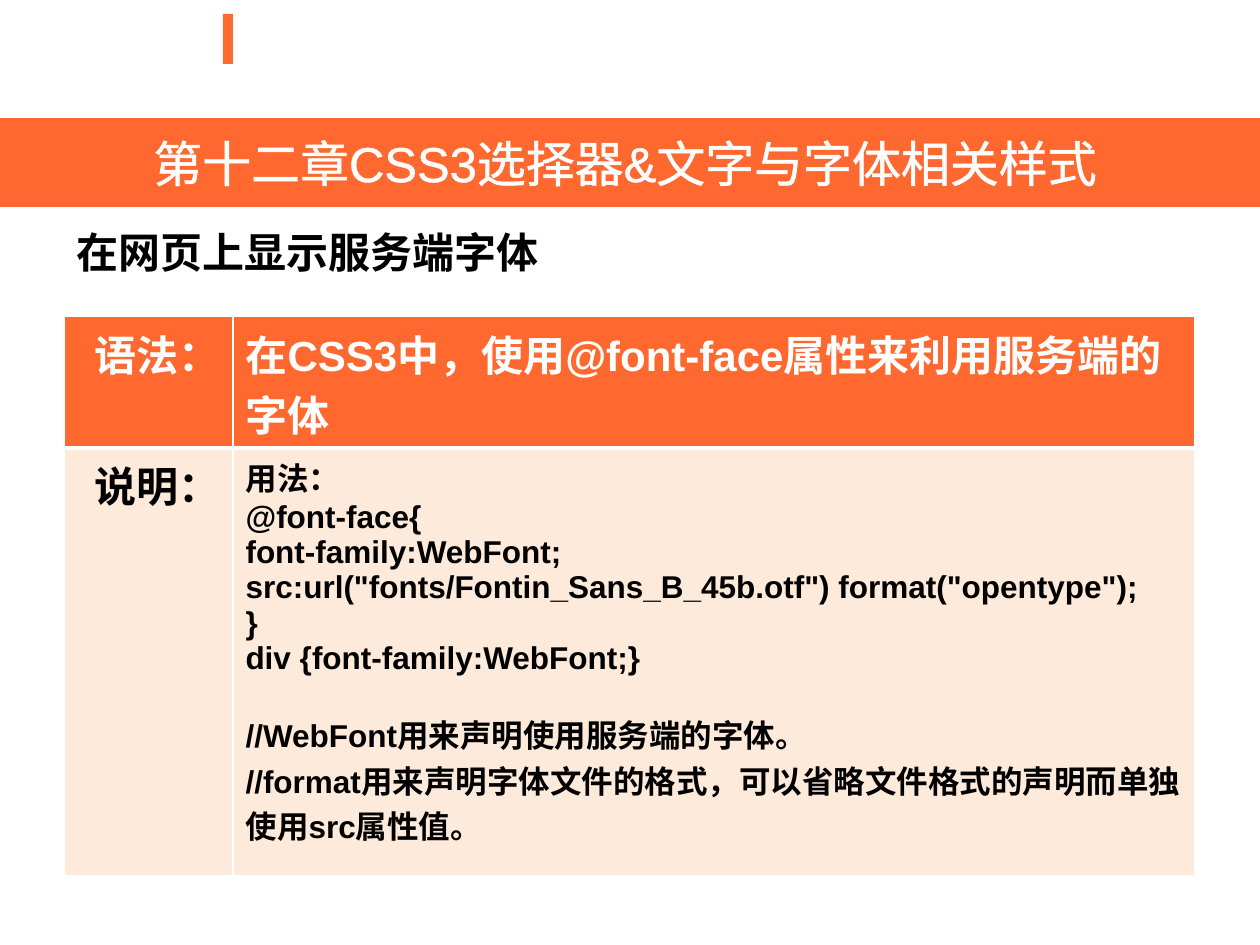
from dataclasses import dataclass

from lxml import etree
from pptx import Presentation, util as u
from pptx.dml.color import RGBColor
from pptx.enum import shapes, text
from pptx.oxml.ns import qn


@dataclass(frozen=True)
class Theme:
    accent: str = "FF682F"
    tint: str = "FDEADA"
    light: str = "FFFFFF"
    dark: str = "000000"
    font: str = "Arial"
    title: int = 28
    heading: int = 24
    body: int = 18


T = Theme()
PX = 914400 / 126

TITLE = "第十二章CSS3选择器&文字与字体相关样式"
HEADING = "在网页上显示服务端字体"
USAGE = [
    "用法：",
    "@font-face{",
    "font-family:WebFont;",
    'src:url("fonts/Fontin_Sans_B_45b.otf") format("opentype");',
    "}",
    "div {font-family:WebFont;}",
]
NOTES = [
    "//WebFont用来声明使用服务端的字体。",
    "//format用来声明字体文件的格式，可以省略文件格式的声明而单独使用src属性值。",
]
ROWS = [
    ("语法：", ["在CSS3中，使用@font-face属性来利用服务端的字体"]),
    ("说明：", USAGE + NOTES),
]
ROW_STYLES = [  # fill, text colour, size of the right cell, bottom border
    (T.accent, T.light, T.heading, 3),
    (T.tint, T.dark, T.body, 1),
]
COL_WIDTHS = [169, 962]
ROW_HEIGHTS = [132, 428]


def px(*values):
    return [u.Emu(round(v * PX)) for v in values]


def paint(shape, color):
    shape.fill.solid()
    shape.fill.fore_color.rgb = RGBColor.from_string(color)


def write(tf, lines, size, color, bold=True, align=text.PP_ALIGN.LEFT):
    tf.word_wrap = True
    tf.text = "\n".join(lines)
    for p in tf.paragraphs:
        p.alignment = align
        for r in p.runs:
            r.font.name, r.font.size, r.font.bold = T.font, u.Pt(size), bold
            r.font.color.rgb = RGBColor.from_string(color)


def white_line(parent, tag, width):
    ln = etree.SubElement(parent, qn(tag), w=str(u.Pt(width)))
    fill = etree.SubElement(ln, qn("a:solidFill"))
    etree.SubElement(fill, qn("a:srgbClr"), val=T.light)
    return ln


def set_borders(cell, bottom):
    """Draw the four borders; they must precede the cell's fill."""
    tc_pr = cell._tc.get_or_add_tcPr()
    for i, (side, width) in enumerate(zip("LRTB", (1, 1, 1, bottom))):
        tc_pr.insert(i, white_line(tc_pr, f"a:ln{side}", width))


def add_title(s):
    sp = s.shapes.title
    sp.left, sp.top, sp.width, sp.height = px(0, 118, 1260, 89)
    paint(sp, T.accent)
    tf = sp.text_frame
    write(tf, [TITLE], T.title, T.light, False, text.PP_ALIGN.CENTER)
    tf.auto_size = text.MSO_AUTO_SIZE.NONE
    tf.vertical_anchor = text.MSO_ANCHOR.MIDDLE
    tf.margin_left, tf.margin_right = px(13, 23)
    r_pr = tf.paragraphs[0].runs[0].font._element
    r_pr.insert(0, white_line(r_pr, "a:ln", 1.45))


def add_syntax_table(s):
    frame = s.shapes.add_table(len(ROWS), len(COL_WIDTHS),
                               *px(64, 316, sum(COL_WIDTHS), sum(ROW_HEIGHTS)))
    table = frame.table
    for column, width in zip(table.columns, px(*COL_WIDTHS)):
        column.width = width
    for row, height in zip(table.rows, px(*ROW_HEIGHTS)):
        row.height = height
    for row, (label, lines), style in zip(table.rows, ROWS, ROW_STYLES):
        fill, color, size, bottom = style
        label_cell, text_cell = row.cells
        write(label_cell.text_frame, [label], T.heading, color,
              align=text.PP_ALIGN.RIGHT)
        write(text_cell.text_frame, lines, size, color)
        for cell in row.cells:
            paint(cell, fill)
            set_borders(cell, bottom)
    first_note = table.cell(1, 1).text_frame.paragraphs[len(USAGE)]
    first_note.space_before = u.Pt(20)


def main():
    prs = Presentation()
    prs.slide_width, prs.slide_height = px(1260, 945)
    s = prs.slides.add_slide(prs.slide_layouts[5])

    tick = s.shapes.add_shape(shapes.MSO_SHAPE.RECTANGLE, *px(223, 14, 10, 50))
    tick.shadow.inherit = False
    paint(tick, T.accent)
    tick.line.fill.background()

    add_title(s)
    heading = s.shapes.add_textbox(*px(64, 220, 1134, 76))
    write(heading.text_frame, [HEADING], T.heading, T.dark)
    add_syntax_table(s)
    prs.save("out.pptx")


if __name__ == "__main__":
    main()
